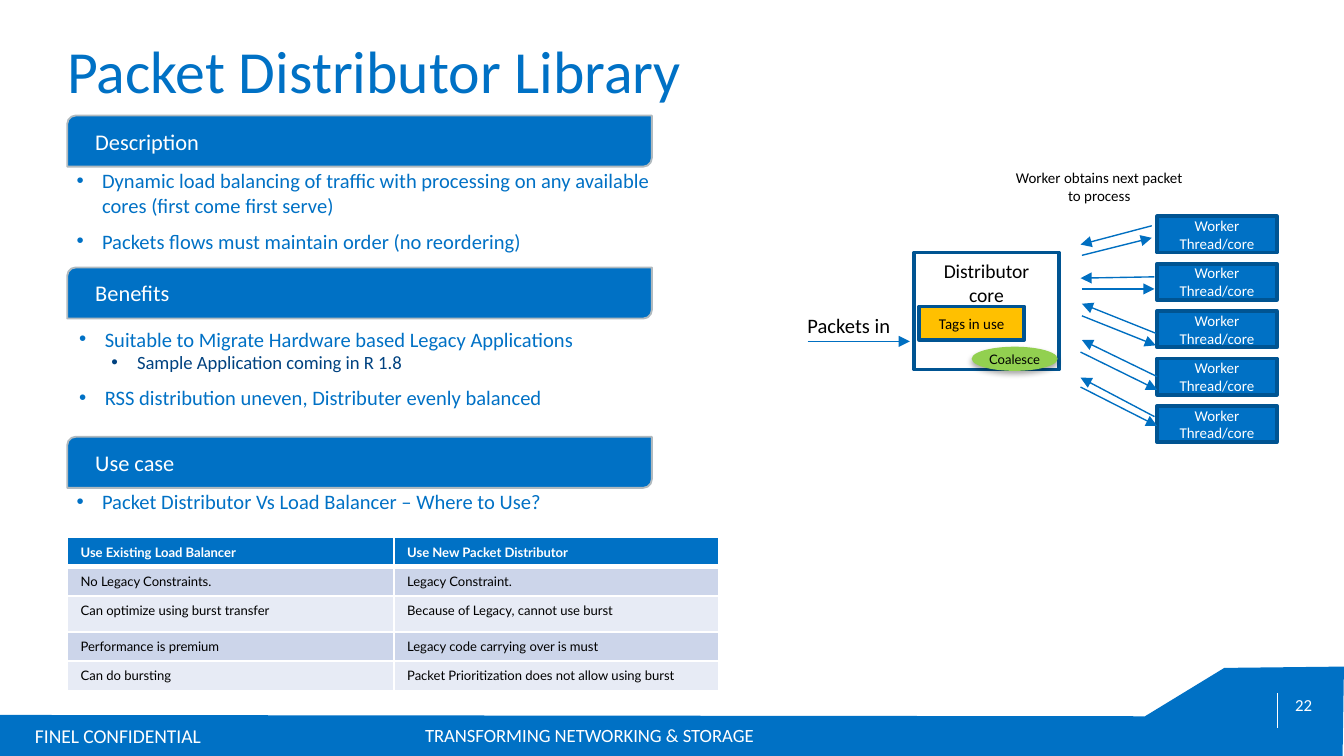
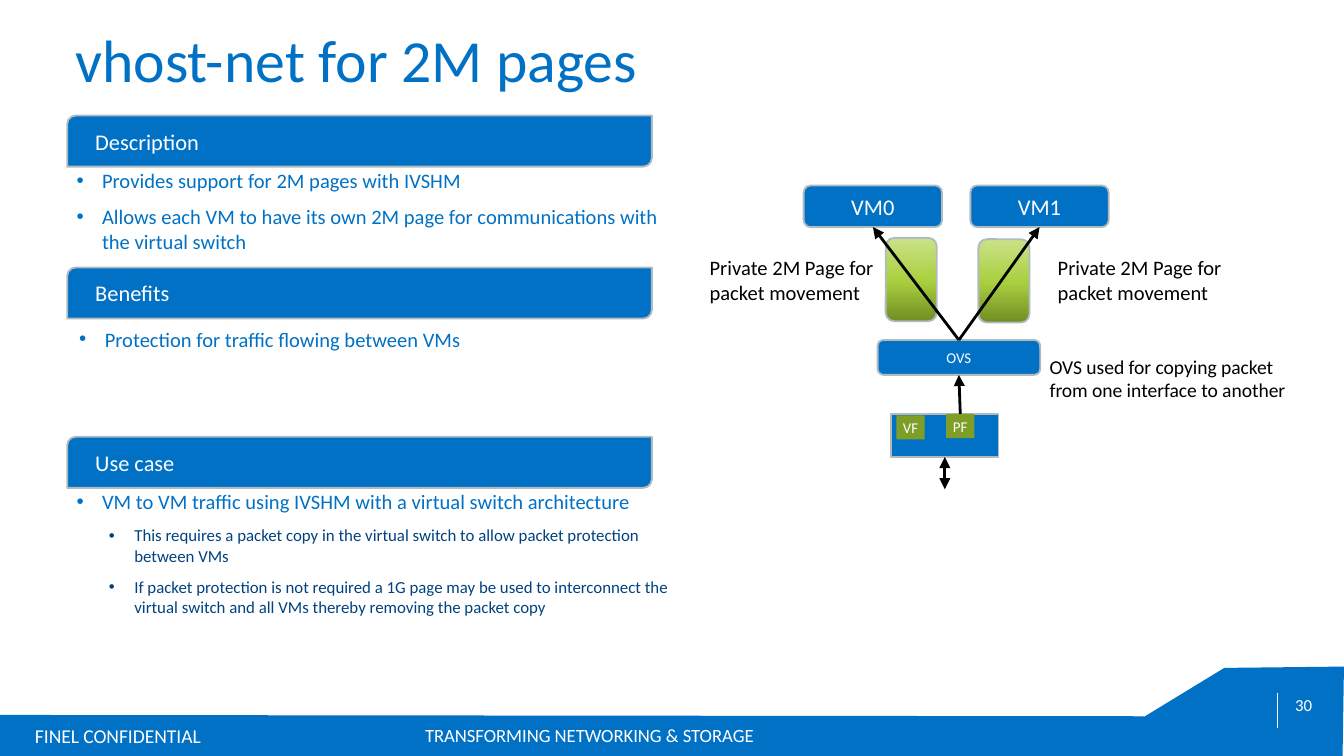
from lxml.etree import SubElement
from pptx import Presentation
from pptx.dml.color import RGBColor
from pptx.enum.shapes import MSO_CONNECTOR as Connector, MSO_SHAPE as Shape
from pptx.enum.text import MSO_ANCHOR as Anchor, PP_ALIGN as Align
from pptx.oxml.ns import qn
from pptx.util import Inches, Pt

SLIDE_WIDTH = 10
SLIDE_HEIGHT = SLIDE_WIDTH * 9 / 16
BLUE, NAVY, EDGE, ARROW = "0071C5", "004280", "005492", "006FC1"
GRAY, WHITE, BLACK = "B1BABF", "FFFFFF", "000000"
AMBER, LIME, OLIVE = "FFC000", "92D050", "7E9E27"
BAND_DARK, BAND_LIGHT = "CCD5EA", "E7EBF5"
PAGE_GRADIENT = [(0, "718D23"), (48, "A9CF3F"), (100, "CAE288")]
NO_INSET = (0, 0)


def rgb(color):
    return RGBColor.from_string(color)


def box_of(left, top, width, height):
    return [Inches(value) for value in (left, top, width, height)]


def add_color(parent, color):
    return SubElement(parent, qn("a:srgbClr"), val=color)


def write(frame, text, size=11, color=BLACK, font="Calibri", bold=False,
          align=Align.LEFT, margin=0, hanging=0, bullet=None, space_before=0):
    paragraph = frame.add_paragraph() if frame.text else frame.paragraphs[0]
    properties = paragraph._p.get_or_add_pPr()
    properties.set("marL", str(Inches(margin)))
    properties.set("indent", str(-Inches(hanging)))
    if bullet:
        SubElement(properties, qn("a:buFont"), typeface="Arial")
        SubElement(properties, qn("a:buChar"), char=bullet)
    paragraph.alignment = align
    paragraph.space_before = Pt(space_before)
    run = paragraph.add_run()
    run.text = text
    run.font.size = Pt(size)
    run.font.name = font
    run.font.bold = bold
    run.font.color.rgb = rgb(color)


def set_frame(frame, inset=(0.1, 0.05), anchor=Anchor.MIDDLE, wrap=True):
    frame.word_wrap = wrap
    frame.vertical_anchor = anchor
    frame.margin_left = frame.margin_right = Inches(inset[0])
    frame.margin_top = frame.margin_bottom = Inches(inset[1])


class Deck:
    def __init__(self):
        self.presentation = Presentation()
        self.presentation.slide_width = Inches(SLIDE_WIDTH)
        self.presentation.slide_height = Inches(SLIDE_HEIGHT)
        self.slide = None

    def start_slide(self, title, number, **title_format):
        layout = self.presentation.slide_layouts[5]
        self.slide = self.presentation.slides.add_slide(layout)
        self.footer(number)
        self.title(title, **title_format)

    def title(self, text, anchor=Anchor.MIDDLE, margin=0):
        title = self.slide.shapes.title
        title.left, title.top, title.width, title.height = box_of(0.5, 0.17, 9, 0.7)
        set_frame(title.text_frame, NO_INSET, anchor)
        write(title.text_frame, text, size=32, color=BLUE, margin=margin)

    def footer(self, number):
        outline = [(9.11, 4.97), (8.52, 5.33), (0, 5.32), (0, SLIDE_HEIGHT),
                   (9.99, SLIDE_HEIGHT)]
        builder = self.slide.shapes.build_freeform(Inches(SLIDE_WIDTH), Inches(4.96))
        builder.add_line_segments([(Inches(x), Inches(y)) for x, y in outline])
        self.paint(builder.convert_to_shape(), BLUE)
        self.line((9.5, 5.16), (9.5, 5.42), WHITE, 0.25)
        self.text((1.82, 5.34, 5.13, 0.27), "TRANSFORMING NETWORKING & STORAGE",
                  inset=(0.1, 0.05), anchor=Anchor.TOP, size=10, color=WHITE,
                  align=Align.CENTER)
        self.text((9.5, 5.17, 0.4, 0.15), number, size=9, color=WHITE,
                  align=Align.CENTER)
        self.text((0.26, 5.39, 2.11, 0.17), "FINEL CONFIDENTIAL",
                  inset=(0, 0.05), size=10.5, color=WHITE)

    def paint(self, shape, fill, edge=None, edge_width=1):
        shape.shadow.inherit = False
        shape.fill.solid()
        shape.fill.fore_color.rgb = rgb(fill)
        if edge:
            shape.line.color.rgb = rgb(edge)
            shape.line.width = Pt(edge_width)
        else:
            shape.line.fill.background()

    def text(self, box, text, inset=NO_INSET, anchor=Anchor.MIDDLE, wrap=True, **style):
        frame = self.slide.shapes.add_textbox(*box_of(*box)).text_frame
        set_frame(frame, inset, anchor, wrap)
        write(frame, text, **style)

    def shape(self, kind, box, text="", fill=BLUE, edge=GRAY, edge_width=1,
              inset=NO_INSET, anchor=Anchor.MIDDLE, wrap=True, size=8,
              color=WHITE, align=Align.CENTER, **style):
        shape = self.slide.shapes.add_shape(kind, *box_of(*box))
        self.paint(shape, fill, edge, edge_width)
        if text:
            set_frame(shape.text_frame, inset, anchor, wrap)
            write(shape.text_frame, text, size=size, color=color, align=align, **style)
        return shape

    def node(self, box, text, **style):
        return self.shape(Shape.RECTANGLE, box, text, edge=EDGE, edge_width=2,
                          inset=(0.1, 0.05), **style)

    def section(self, top, heading, list_box, items):
        self.shape(Shape.ROUND_2_DIAG_RECTANGLE, (0.5, top, 4.35, 0.38), heading,
                   size=12, align=Align.LEFT, margin=0.19)
        frame = self.slide.shapes.add_textbox(*box_of(*list_box)).text_frame
        set_frame(frame, NO_INSET, Anchor.TOP)
        for index, (text, sub_size, gap) in enumerate(items):
            write(frame, text, size=sub_size or 11, color=NAVY if sub_size else BLUE,
                  margin=0.62 if sub_size else 0.38, hanging=0.19, bullet="•",
                  space_before=gap if index else 0)

    def sections(self, description, benefits, use_case):
        self.section(0.86, "Description", (0.38, 1.25, 4.74, 0.74), description)
        self.section(1.99, "Benefits", (0.4, 2.43, 4.74, 0.74), benefits)
        self.section(3.25, "Use case", (0.38, 3.64, 4.74, 1.49), use_case)

    def line(self, start, end, color=ARROW, width=0.75, heads=(),
             begin_at=None, end_at=None):
        ends = [Inches(value) for value in (*start, *end)]
        connector = self.slide.shapes.add_connector(Connector.STRAIGHT, *ends)
        if begin_at:
            connector.begin_connect(*begin_at)
        if end_at:
            connector.end_connect(*end_at)
        connector.line.color.rgb = rgb(color)
        connector.line.width = Pt(width)
        line = connector.line._get_or_add_ln()
        for head in heads:
            SubElement(line, qn(f"a:{head}End"), type="triangle")
        SubElement(connector._element.spPr, qn("a:effectLst"))

    def arrow(self, start, end, **style):
        self.line(start, end, heads=("tail",), **style)

    def drop_shadow(self, shape, blur, distance):
        effects = shape._element.spPr.find(qn("a:effectLst"))
        shadow = SubElement(effects, qn("a:outerShdw"), blurRad=str(Pt(blur)),
                            dist=str(Pt(distance)), dir="5400000", rotWithShape="0")
        SubElement(add_color(shadow, BLACK), qn("a:alpha"), val="35000")

    def gradient(self, shape, stops):
        shape.fill.gradient()
        shape.fill.gradient_angle = 90
        stop_list = shape._element.spPr.find(qn("a:gradFill")).find(qn("a:gsLst"))
        for stop in list(stop_list):
            stop_list.remove(stop)
        for position, color in stops:
            add_color(SubElement(stop_list, qn("a:gs"), pos=str(position * 1000)), color)

    def table(self, box, widths, heights, rows):
        table = self.slide.shapes.add_table(len(rows), len(widths), *box_of(*box)).table
        for column, width in zip(table.columns, widths):
            column.width = Inches(width)
        for index, (row, height, texts) in enumerate(zip(table.rows, heights, rows)):
            row.height = Inches(height)
            header = index == 0
            fill = BLUE if header else BAND_DARK if index % 2 else BAND_LIGHT
            for cell, text in zip(row.cells, texts):
                write(cell.text_frame, text, size=7, font="Lato", bold=header,
                      color=WHITE if header else BLACK)
                self.borders(cell, top=3 if index == 1 else 1, bottom=3 if header else 1)
                cell.fill.solid()
                cell.fill.fore_color.rgb = rgb(fill)

    def borders(self, cell, top, bottom):
        properties = cell._tc.get_or_add_tcPr()
        for side, width in (("L", 1), ("R", 1), ("T", top), ("B", bottom)):
            border = SubElement(properties, qn(f"a:ln{side}"), w=str(Pt(width)))
            add_color(SubElement(border, qn("a:solidFill")), WHITE)


def build_distributor(deck):
    deck.start_slide("Packet Distributor Library", "22")
    deck.sections(
        [("Dynamic load balancing of traffic with processing on any available "
          "cores (first come first serve)", None, 6),
         ("Packets flows must maintain order (no reordering)", None, 6)],
        [("Suitable to Migrate Hardware based Legacy Applications", None, 0),
         ("Sample Application coming in R 1.8", 10, 0),
         ("RSS distribution uneven, Distributer evenly balanced", None, 6)],
        [("Packet Distributor Vs Load Balancer – Where to Use?", None, 0)])
    deck.table((0.5, 4, 4.85, 1.14), (2.43, 2.42), (0.14, 0.2, 0.27, 0.2, 0.14), [
        ("Use Existing Load Balancer", "Use New Packet Distributor"),
        ("No Legacy Constraints.", "Legacy Constraint."),
        ("Can optimize using burst transfer", "Because of Legacy, cannot use burst"),
        ("Performance is premium", "Legacy code carrying over is must"),
        ("Can do bursting", "Packet Prioritization does not allow using burst")])

    deck.node((6.8, 1.88, 1.08, 0.87), "Distributor core", fill=WHITE, size=10.5,
              color=BLACK, anchor=Anchor.TOP)
    deck.text((5.91, 2.28, 0.83, 0.29), "Packets in", inset=(0.1, 0.05),
              anchor=Anchor.TOP, wrap=False)
    workers = [deck.node((8.61, 1.61 + 1.41 / 4 * index, 0.89, 0.27), "Worker Thread/core")
               for index in range(5)]
    to_worker = [((8.05, 1.9), (8.57, 1.77)), ((8.05, 2.15), (8.59, 2.15)),
                 ((8.05, 2.35), (8.6, 2.57)), ((8.04, 2.62), (8.61, 2.9)),
                 ((8.04, 2.88), (8.61, 3.17))]
    from_worker = [((8.57, 1.68), (8.04, 1.82)), ((8.59, 2.06), (8.04, 2.07)),
                   ((8.6, 2.48), (8.05, 2.26)), ((8.61, 2.81), (8.05, 2.53)),
                   ((8.59, 3.1), (8.04, 2.81))]
    for index, (send, request) in enumerate(zip(to_worker, from_worker)):
        deck.arrow(*send)
        deck.arrow(*request, begin_at=(workers[index], 1) if index == 3 else None)
    deck.text((7.55, 1.25, 1.26, 0.27), "Worker obtains next packet to process",
              size=8, align=Align.CENTER)
    deck.arrow((6.01, 2.54), (6.77, 2.54))
    deck.node((6.84, 2.28, 0.78, 0.25), "Tags in use", fill=AMBER, color=BLACK)
    coalesce = deck.shape(Shape.OVAL, (7.23, 2.58, 0.64, 0.18), "Coalesce", fill=LIME,
                          edge=None, inset=(0, 0.05), wrap=False, size=7,
                          font="Lato", color=BLACK)
    deck.drop_shadow(coalesce, 3.1, 1.8)


def build_vhost(deck):
    deck.start_slide("vhost-net for 2M pages", "30", anchor=Anchor.TOP, margin=0.06)
    deck.sections(
        [("Provides support for 2M pages with IVSHM", None, 6),
         ("Allows each VM to have its own 2M page for communications with "
          "the virtual switch", None, 6)],
        [("Protection for traffic flowing between VMs", None, 6)],
        [("VM to VM traffic using IVSHM with a virtual switch architecture", None, 6),
         ("This requires a packet copy in the virtual switch to allow packet "
          "protection between VMs", 9, 6),
         ("If packet protection is not required a 1G page may be used to interconnect "
          "the virtual switch and all VMs thereby removing the packet copy", 9, 6)])

    black = {"color": BLACK, "width": 1.5}
    switch = deck.shape(Shape.ROUNDED_RECTANGLE, (6.53, 2.53, 1.21, 0.26), "OVS")
    card = deck.shape(Shape.RECTANGLE, (6.63, 3.08, 0.8, 0.32))
    physical, virtual = [
        deck.shape(Shape.RECTANGLE, (left, top, 0.21, 0.18), name, fill=OLIVE, edge=None)
        for name, left, top in (("PF", 7.04, 3.08), ("VF", 6.67, 3.09))]
    deck.line((7.03, 3.41), (7.03, 3.64), heads=("head", "tail"),
              begin_at=(card, 2), **black)
    deck.arrow((7.14, 3.08), (7.14, 2.79), begin_at=(physical, 0),
               end_at=(switch, 2), **black)
    machines = [deck.shape(Shape.ROUNDED_RECTANGLE, (left, 1.38, 1.03, 0.31), name, size=12)
                for name, left in (("VM0", 5.98), ("VM1", 7.22))]
    for left, top in ((7.28, 1.78), (6.59, 1.77)):
        page = deck.shape(Shape.ROUNDED_RECTANGLE, (left, top, 0.38, 0.62))
        deck.gradient(page, PAGE_GRADIENT)
    for machine, center in zip(reversed(machines), (7.74, 6.49)):
        deck.arrow((7.14, 2.53), (center, 1.69), begin_at=(switch, 0),
                   end_at=(machine, 2), **black)
    for left in (7.87, 5.28):
        deck.text((left, 1.8, 1.27, 0.56), "Private 2M Page for packet movement")
    deck.text((7.81, 2.55, 1.84, 0.53),
              "OVS used for copying packet from one interface to another", size=10.5)


def main():
    deck = Deck()
    build_distributor(deck)
    build_vhost(deck)
    deck.presentation.save("out.pptx")


if __name__ == "__main__":
    main()
